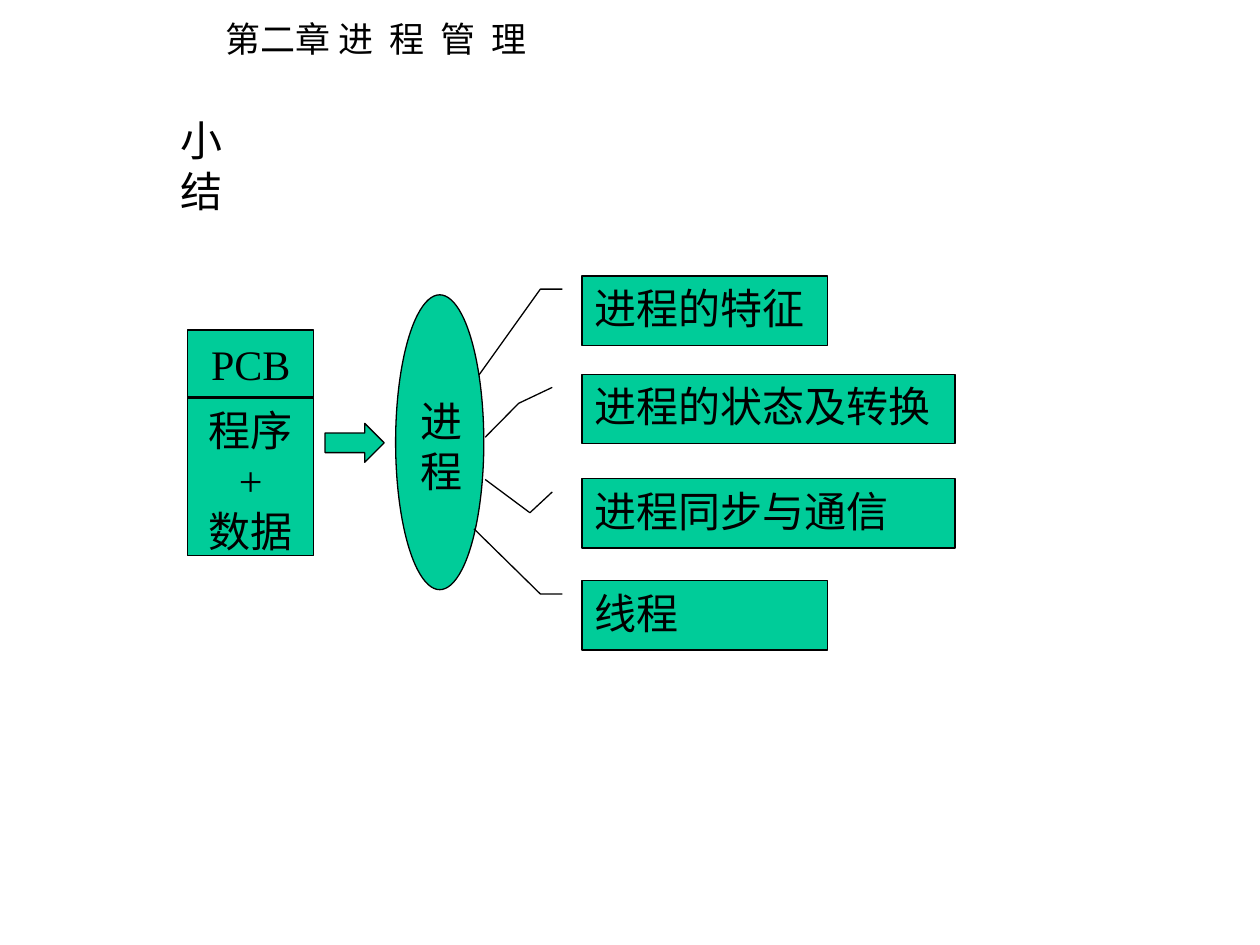
"""Build the process management summary slide."""
from dataclasses import dataclass

from pptx import Presentation
from pptx.dml.color import RGBColor as RGB
from pptx.enum.shapes import MSO_SHAPE as SHAPE
from pptx.enum.text import MSO_ANCHOR as ANCHOR, MSO_AUTO_SIZE as AUTO, PP_ALIGN as ALIGN
from pptx.util import Pt


@dataclass(frozen=True)
class Theme:
    """Colours, fonts and sizes of the slide."""
    fill: RGB = RGB(0x00, 0xCC, 0x99)
    ink: RGB = RGB(0, 0, 0)
    line: float = 0.75
    serif: str = "Times New Roman"
    sans: str = "Noto Sans CJK SC"
    body: int = 24
    header: int = 20


class Deck:
    """Holds the style and the current slide."""

    def __init__(self, prs, theme):
        """Add a slide that has only a title."""
        self.theme = theme
        self.slide = prs.slides.add_slide(prs.slide_layouts[5])

    def style(self, r, name, size):
        """Format one run."""
        values = {"name": name, "size": Pt(size), "bold": False}
        for key, value in values.items():
            setattr(r.font, key, value)
        r.font.color.rgb = self.theme.ink

    def frame(self, sp, align=ALIGN.LEFT, anchor=ANCHOR.TOP, wrap=True,
              auto=AUTO.NONE, top=3.6):
        """Set the layout of a text frame and return it."""
        tf = sp.text_frame
        values = {"word_wrap": wrap, "auto_size": auto, "vertical_anchor": anchor,
                  "margin_left": Pt(7.2), "margin_right": Pt(7.2),
                  "margin_top": Pt(top), "margin_bottom": Pt(3.6)}
        for key, value in values.items():
            setattr(tf, key, value)
        for p in tf.paragraphs:
            p.alignment = align
        return tf

    def title(self, text, box):
        """Place the slide title."""
        sp = self.slide.shapes.title
        sp.left, sp.top, sp.width, sp.height = map(Pt, box)
        sp.text_frame.text = text
        tf = self.frame(sp, wrap=False, auto=AUTO.SHAPE_TO_FIT_TEXT)
        self.style(tf.paragraphs[0].runs[0], self.theme.serif, self.theme.body)

    def header(self, pieces, box):
        """Add a header line from pairs of text and letter spacing."""
        sp = self.slide.shapes.add_textbox(*map(Pt, box))
        tf = self.frame(sp, wrap=False, auto=AUTO.SHAPE_TO_FIT_TEXT)
        for text, spacing in pieces:
            r = tf.paragraphs[0].add_run()
            r.text = text
            self.style(r, self.theme.sans, self.theme.header)
            r._r.get_or_add_rPr().set("spc", str(round(spacing * 100)))

    def shape(self, kind, box, text="", adjust=(), **layout):
        """Add a filled, outlined shape with optional text."""
        sp = self.slide.shapes.add_shape(kind, *map(Pt, box))
        sp.shadow.inherit = False
        sp.fill.solid()
        sp.fill.fore_color.rgb = self.theme.fill
        sp.line.color.rgb = self.theme.ink
        sp.line.width = Pt(self.theme.line)
        for i, value in enumerate(adjust):
            sp.adjustments[i] = value
        if text:
            sp.text_frame.text = text
            for p in self.frame(sp, **layout).paragraphs:
                for r in p.runs:
                    self.style(r, self.theme.serif, self.theme.body)

    def callout(self, text, top, width, bend):
        """Add a topic box whose leader ends at the process ellipse."""
        self.shape(SHAPE.LINE_CALLOUT_2, (332.64, top, width, 39.6), text,
                   (0.19, -0.08, *bend))


def main():
    """Build and save the slide."""
    prs = Presentation()
    prs.slide_width, prs.slide_height = Pt(720), Pt(540)
    s = Deck(prs, Theme())

    s.header([("第二章 ", 0), ("进 程 管 理", 2.3)], (121.68, 6.48, 190, 31.7))
    s.title("小结", (95.76, 61.92, 62, 36))

    s.shape(SHAPE.RECTANGLE, (107.28, 227.5, 72, 90), "程序\n+\n数据", align=ALIGN.CENTER)
    s.shape(SHAPE.RECTANGLE, (107.28, 188.64, 72, 38.2), "PCB",
            align=ALIGN.CENTER, anchor=ANCHOR.MIDDLE)
    s.shape(SHAPE.RIGHT_ARROW, (185.76, 241.92, 33.84, 22.32))
    s.shape(SHAPE.OVAL, (226.08, 168.48, 50.4, 168.48), "进程",
            align=ALIGN.CENTER, anchor=ANCHOR.MIDDLE, top=7.2)

    narrow, wide = 140.4, 213.12
    topics = [
        ("进程的特征", 157.68, narrow, (0.19, -0.17, 1.43, -0.42)),
        ("进程的状态及转换", 213.84, wide, (0.42, -0.17, 0.91, -0.26)),
        ("进程同步与通信", 273.6, wide, (0.49, -0.14, 0.01, -0.26)),
        ("线程", 331.92, narrow, (0.19, -0.17, -0.75, -0.44)),
    ]
    for topic in topics:
        s.callout(*topic)

    prs.save("out.pptx")


if __name__ == "__main__":
    main()
